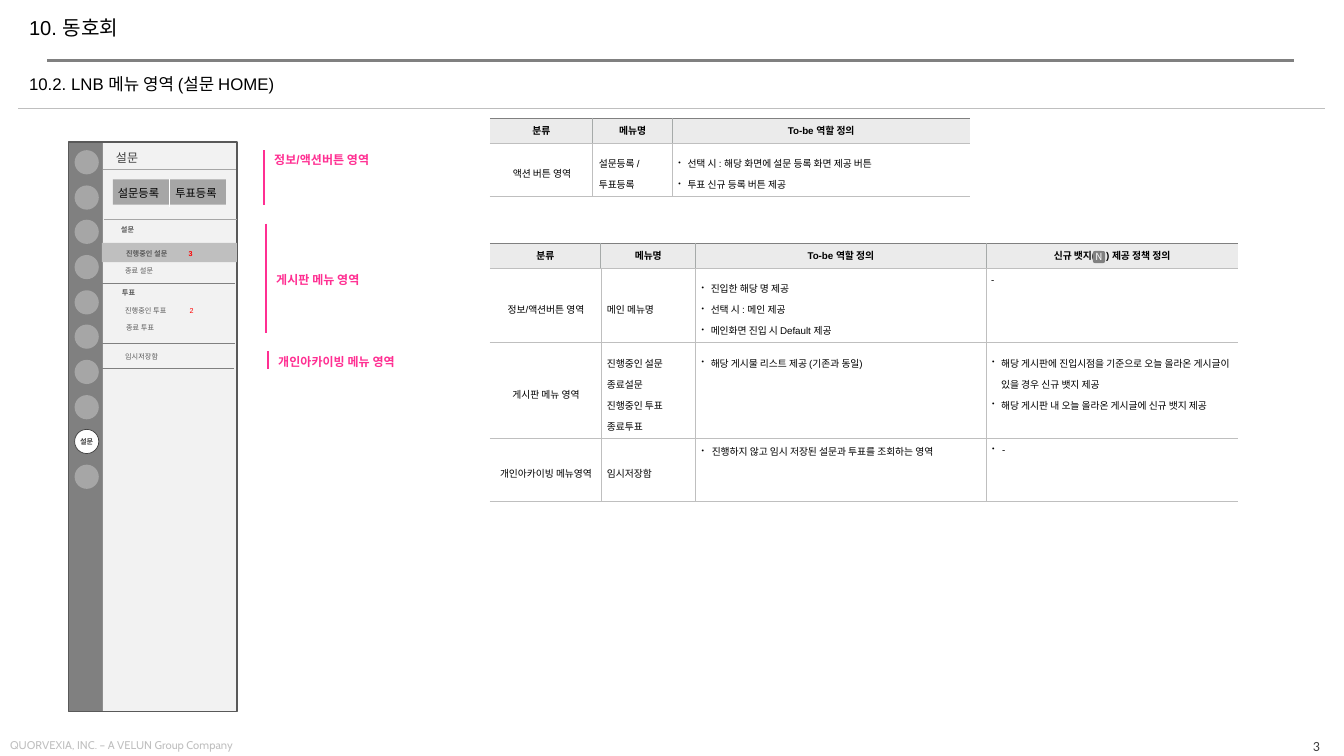
from lxml import etree
from pptx import Presentation
from pptx import util as u
from pptx.dml import color
from pptx.enum import shapes, text
from pptx.oxml import ns

SCALE = 9144
PINK, GREY, DARK, PALE = "FF2F92", "808080", "595959", "BFBFBF"
ALIGN = {"l": text.PP_ALIGN.LEFT, "c": text.PP_ALIGN.CENTER, "r": text.PP_ALIGN.RIGHT}
MID, TOP = text.MSO_ANCHOR.MIDDLE, text.MSO_ANCHOR.TOP
SHAPE = shapes.MSO_SHAPE

KINDS = {
    "head": dict(bold=True, align="c"),
    "mid": dict(align="c", left=1, gap=1.5),
    "left": dict(left=1, gap=1.5),
    "list": dict(left=10, hang=9, gap=1.5, bullet=True, anchor=TOP),
    "tight": dict(left=11, hang=10, bullet=True, anchor=TOP),
    "top": dict(anchor=TOP),
}
ACTIONS = [
    [("head", "분류"), ("head", "메뉴명"), ("head", "To-be 역할 정의")],
    [("mid", "액션 버튼 영역"), ("left", "설문등록 / 투표등록"),
     ("list", "선택 시 : 해당 화면에 설문 등록 화면 제공 버튼\n투표 신규 등록 버튼 제공")],
]
MENUS = [
    [("head", "분류"), ("head", "메뉴명"), ("head", "To-be 역할 정의"),
     ("head", [("신규 뱃지", {}), ("(", {"space": 780}), (") 제공 정책 정의", {})])],
    [("mid", "정보/액션버튼 영역"), ("left", "메인 메뉴명"),
     ("list", "진입한 해당 명 제공\n선택 시 : 메인 제공\n메인화면 진입 시 Default 제공"),
     ("top", "-")],
    [("mid", "게시판 메뉴 영역"), ("left", "진행중인 설문\n종료설문\n진행중인 투표\n종료투표"),
     ("list", "해당 게시물 리스트 제공 (기존과 동일)"),
     ("list", "해당 게시판에 진입시점을 기준으로 오늘 올라온 게시글이 있을 경우 신규 뱃지 제공\n"
              "해당 게시판 내 오늘 올라온 게시글에 신규 뱃지 제공")],
    [("mid", "개인아카이빙 메뉴영역"), ("left", "임시저장함"),
     ("tight", "진행하지 않고 임시 저장된 설문과 투표를 조회하는 영역"), ("tight", "-")],
]


def px(n):
    return u.Emu(round(n * SCALE))


def rgb(code):
    return color.RGBColor.from_string(code)


def sub(node, tag, **attrs):
    return etree.SubElement(node, ns.qn(tag), attrs)


def write(frame, words, size=7, font="Arial", ink="000000", bold=False, align="l",
          gap=None, left=0, hang=0, bullet=False):
    lines = words.split("\n") if isinstance(words, str) else [words]
    for i, line in enumerate(lines):
        para = frame.add_paragraph() if i else frame.paragraphs[0]
        para.alignment = ALIGN[align]
        if gap:
            para.line_spacing = gap
        props = para._p.get_or_add_pPr()
        props.set("marL", str(px(left)))
        props.set("indent", str(px(-hang)))
        if bullet:
            sub(props, "a:buSzPct", val="75000")
            sub(props, "a:buChar", char="•")
        for part, extra in [(line, {})] if isinstance(line, str) else line:
            run = para.add_run()
            run.text = part
            run.font.size, run.font.name, run.font.bold = u.Pt(size), font, bold
            run.font.color.rgb = rgb(ink)
            if "space" in extra:
                run._r.get_or_add_rPr().set("spc", str(extra["space"]))


def inset(frame, x, y):
    frame.margin_left = frame.margin_right = px(x)
    frame.margin_top = frame.margin_bottom = px(y)


def label(page, box, words, pad=(0, 0), anchor=MID, **style):
    frame = page.shapes.add_textbox(*map(px, box)).text_frame
    frame.word_wrap = True
    frame.vertical_anchor = anchor
    inset(frame, *pad)
    write(frame, words, **style)


def block(page, box, fill=None, line=None, width=1, kind=SHAPE.RECTANGLE, alpha=None):
    item = page.shapes.add_shape(kind, *map(px, box))
    item.shadow.inherit = False
    if fill:
        item.fill.solid()
        item.fill.fore_color.rgb = rgb(fill)
    else:
        item.fill.background()
    if alpha:
        tint = item.fill._xPr.find(ns.qn("a:solidFill"))[0]
        sub(tint, "a:alpha", val=str(alpha * 1000))
    if line:
        item.line.color.rgb = rgb(line)
        item.line.width = u.Pt(width)
    else:
        item.line.fill.background()
    inset(item.text_frame, 0, 0)
    item.text_frame.vertical_anchor = MID
    return item


def rule(page, x, y, w, h, ink, width=0.75):
    line = page.shapes.add_connector(shapes.MSO_CONNECTOR.STRAIGHT, px(x), px(y), px(x + w), px(y + h))
    line.line.color.rgb = rgb(ink)
    line.line.width = u.Pt(width)
    sub(line._element.spPr, "a:effectLst")


def edge(cell, side, ink, width):
    line = sub(cell._tc.get_or_add_tcPr(), "a:ln" + side, w=str(u.Pt(width)))
    if ink:
        sub(sub(line, "a:solidFill"), "a:srgbClr", val=ink)
    else:
        sub(line, "a:noFill")


def grid(page, x, y, cols, rows, data):
    table = page.shapes.add_table(len(rows), len(cols), px(x), px(y), px(sum(cols)), px(sum(rows))).table
    table.first_row = table.horz_banding = False
    for col, w in zip(table.columns, cols):
        col.width = px(w)
    for r, (high, line) in enumerate(zip(rows, data)):
        table.rows[r].height = px(high)
        side = (PALE, 0.5) if r else ("A6AAA9", 0.75)
        for c, (kind, words) in enumerate(line):
            cell = table.cell(r, c)
            style = dict(KINDS[kind])
            cell.vertical_anchor = style.pop("anchor", MID)
            inset(cell, *((5, 6) if r else (4, 5)))
            edge(cell, "L", *(side if c else (None, 0)))
            edge(cell, "R", *(side if c < len(cols) - 1 else (None, 0)))
            edge(cell, "T", PALE if r else GREY, 0.5)
            edge(cell, "B", PALE, 0.5)
            cell.fill.solid()
            cell.fill.fore_color.rgb = rgb("FFFFFF" if r else "EBEBEB")
            write(cell.text_frame, words, **style)


def header(page, x, y):
    rule(page, x + 28, y + 48, 1236, 0, GREY, 2.25)
    rule(page, x - 1, y + 96, 1296, 0, PALE, 0.5)
    label(page, (x, y, 1150, 34), "10. 동호회", (10, 5), size=14.4, gap=0.9)
    label(page, (x, y + 54, 362, 36), "10.2. LNB 메뉴 영역 (설문 HOME)", (10, 5), size=12, gap=0.9)


def footer(page, x, y):
    label(page, (x, y, 359, 21), "QUORVEXIA, INC. – A VELUN Group Company", (4, 5), TOP,
          size=8, font="Cabin", ink=PALE)
    label(page, (x + 1236, y + 1, 71, 21), "3", (4, 5), size=10, font="Calibri", ink="404040", align="r")


def rail(page, x, y, w, h):
    block(page, (x, y, w, h), GREY)
    for i in range(10):
        box = (x + 6, y + 8 + round(i * 312 / 9), 24, 24)
        if i == 8:
            item = block(page, box, "FFFFFF", "404040", 0.5, SHAPE.OVAL)
            item.text_frame.word_wrap = False
            write(item.text_frame, "설문", size=5.1, ink="404040", bold=True, align="c")
        else:
            block(page, box, "FFFFFF", kind=SHAPE.OVAL, alpha=30)


def menu(page, x, y, w, h):
    rail(page, x, y, 34, h)
    block(page, (x + 34, y, w - 34, h), "F2F2F2")
    block(page, (x + 44, y + 37, 112, 25), "A6A6A6")
    block(page, (x, y, w, h), line=DARK)
    block(page, (x + 33, y + 100, w - 33, 19), PALE)
    label(page, (x + 47, y + 6, 75, 18), "설문", size=8.6, ink="404040")
    for dx, dy, ink in [(34, 27, "A6A6A6"), (35, 77, "A6A6A6"), (33, 140, GREY),
                        (33, 200, GREY), (32, 225, GREY)]:
        rule(page, x + dx, y + dy, 132, 0, ink)
    rule(page, x + 100, y + 37, 0, 27, "FFFFFF", 0.5)
    for dx, words in [(39, "설문등록"), (96, "투표등록")]:
        label(page, (x + dx, y + 39, 68, 24), words, (10, 5), TOP, size=8, font="Noto Sans CJK KR")
    for dx, dy, words, bold, ink in [
            (52, 82, "설문", True, DARK), (57, 106, "진행중인 설문", True, DARK),
            (119, 106, "3", True, "FF0000"), (56, 123, "종료 설문", False, DARK),
            (53, 145, "투표", True, DARK), (56, 163, "진행중인 투표", False, DARK),
            (120, 163, "2", False, "FF0000"), (57, 180, "종료 투표", False, DARK),
            (56, 208, "임시저장함", False, DARK)]:
        label(page, (x + dx, y + dy, 45, 9), words, size=5.1, bold=bold, ink=ink)


def notes(page, x, y):
    for dx, dy, high, mid, words in [
            (0, 0, 54, 8, "정보/액션버튼 영역"), (2, 73, 108, 127, "게시판 메뉴 영역"),
            (4, 199, 18, 208, "개인아카이빙 메뉴 영역")]:
        rule(page, x + dx, y + dy, 0, high, PINK, 1.75)
        label(page, (x + dx + 10, y + mid - 8, 140, 17), words, size=8.6, ink=PINK, bold=True, gap=1.2)


def tables(page, x, y):
    grid(page, x, y, (102, 79, 295), (25, 53), ACTIONS)
    grid(page, x, y + 124, (110, 94, 288, 250), (25, 74, 95, 62), MENUS)
    badge = block(page, (x + 598, y + 132, 12, 12), GREY, kind=SHAPE.ROUNDED_RECTANGLE)
    write(badge.text_frame, "N", font="Noto Sans CJK KR", ink="FFFFFF", align="c")


def main():
    deck = Presentation()
    deck.slide_width, deck.slide_height = px(1333), px(750)
    page = deck.slides.add_slide(deck.slide_layouts[6])
    header(page, 19, 12)
    menu(page, 68, 141, 167, 565)
    notes(page, 262, 149)
    tables(page, 486, 117)
    footer(page, 6, 728)
    deck.save("out.pptx")


if __name__ == "__main__":
    main()
